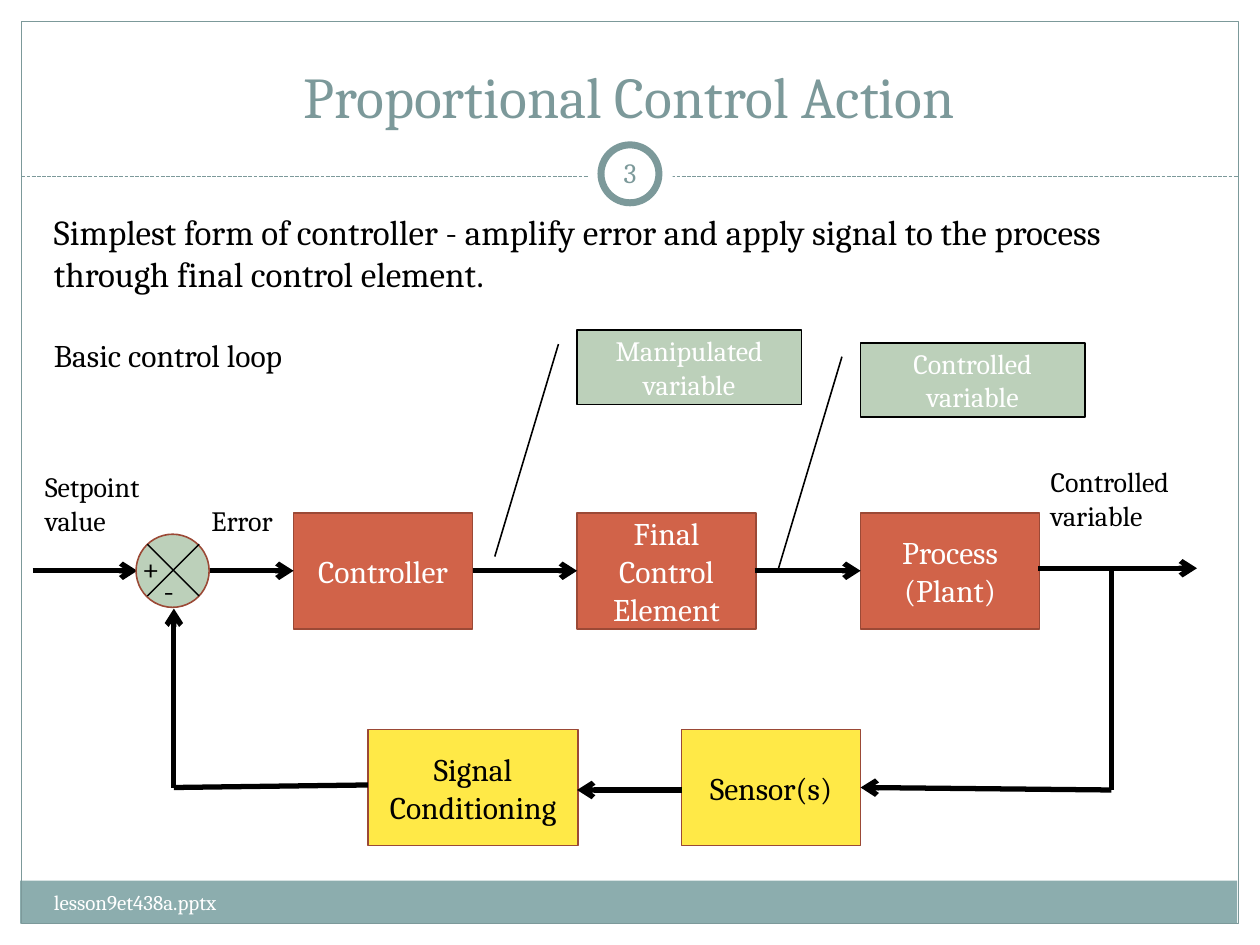
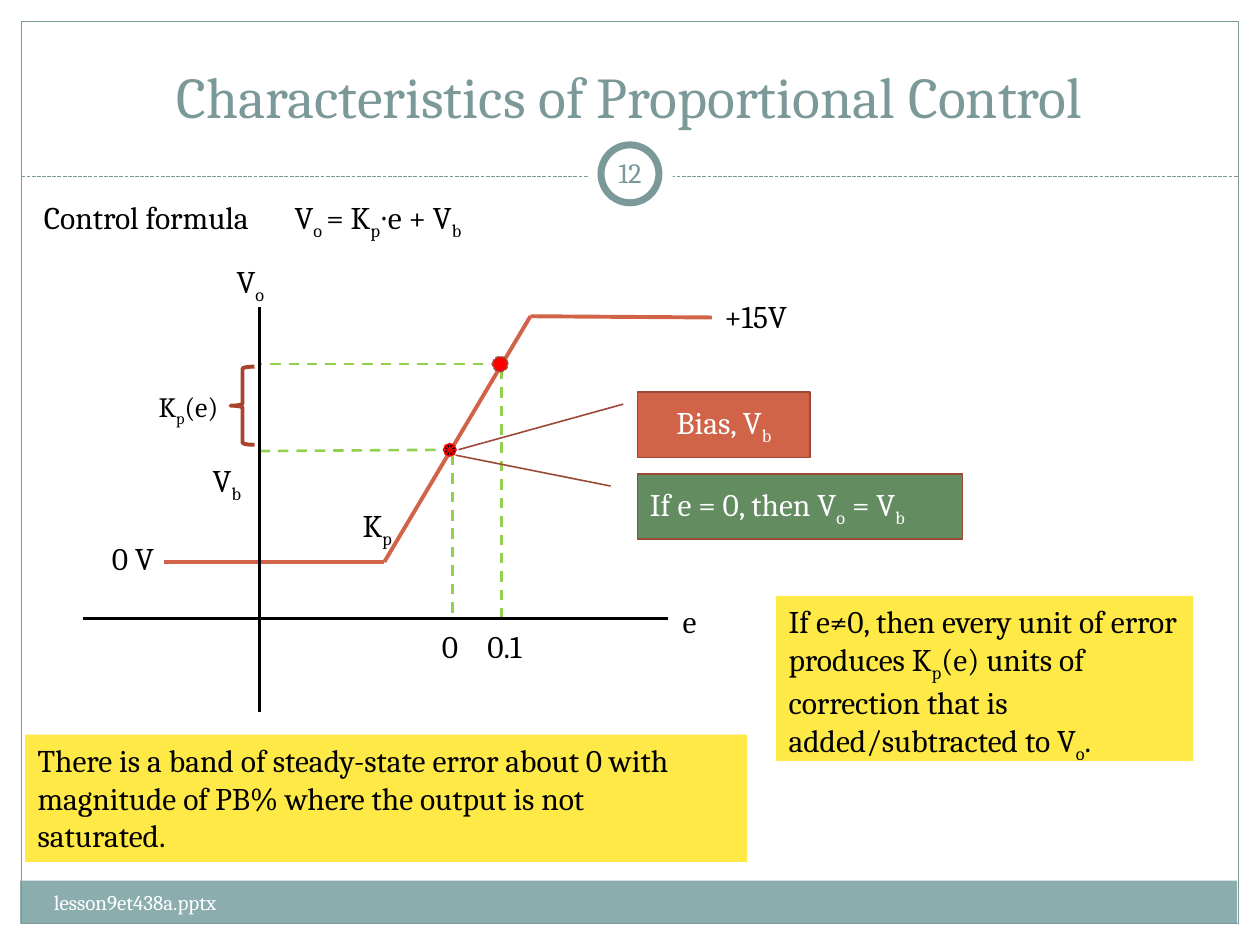
from dataclasses import dataclass
from itertools import pairwise
from math import cos, pi, sin
from typing import NamedTuple

from lxml import etree
from pptx import Presentation
from pptx import util as u
from pptx.dml.color import RGBColor
from pptx.enum import dml, shapes, text
from pptx.oxml import ns

Shape = shapes.MSO_SHAPE
Align = text.PP_ALIGN
Anchor = text.MSO_ANCHOR
Dash = dml.MSO_LINE


@dataclass(frozen=True)
class Theme:
    font: str = "Cambria"
    white: str = "FFFFFF"
    black: str = "000000"
    teal: str = "7C999A"
    band: str = "8CADAE"
    rust: str = "D16349"
    rust_edge: str = "9B4936"
    brace: str = "A9432B"
    yellow: str = "FFE947"
    sage: str = "BCD0BA"
    green: str = "648C61"
    guide: str = "92D050"
    red: str = "FF0000"
    title_size: float = 33
    lead_size: float = 20
    body_size: float = 18
    small_size: float = 16
    footer_size: float = 12
    edge: float = 0.9
    arrow: float = 3


THEME = Theme()


class Point(NamedTuple):
    x: float
    y: float


class Area(NamedTuple):
    left: float
    top: float
    width: float
    height: float

    def lengths(self) -> list[int]:
        return [u.Inches(value) for value in self]


@dataclass(frozen=True)
class Label:
    """Free text; a ~ switches subscript on and off."""
    area: Area
    words: str
    size: float = THEME.body_size
    color: str = THEME.black
    align: Align = Align.LEFT
    anchor: Anchor = Anchor.TOP
    wrap: bool = False
    inset: float = 0.1


@dataclass(frozen=True)
class Block:
    area: Area
    words: str = ""
    fill: str | None = None
    line: str | None = THEME.rust_edge
    width: float = THEME.edge
    color: str = THEME.white
    size: float = THEME.body_size
    align: Align = Align.CENTER
    anchor: Anchor = Anchor.MIDDLE
    kind: Shape = Shape.RECTANGLE
    adjust: tuple[float, ...] = ()
    dash: Dash | None = None


@dataclass(frozen=True)
class Stroke:
    """Joined straight lines, with an optional arrowhead at the end."""
    points: tuple[tuple[float, float], ...]
    color: str = THEME.black
    width: float = THEME.arrow
    arrow: bool = False
    dash: Dash | None = None


def rgb(color: str) -> RGBColor:
    return RGBColor.from_string(color)


def write(frame, words: str, size: float, color: str, align: Align) -> None:
    for number, line in enumerate(words.split("\n")):
        paragraph = frame.paragraphs[0] if number == 0 else frame.add_paragraph()
        paragraph.alignment = align
        for index, piece in enumerate(line.split("~")):
            if not piece:
                continue
            run = paragraph.add_run()
            run.text = piece
            run.font.name, run.font.size = THEME.font, u.Pt(size)
            run.font.color.rgb = rgb(color)
            if index % 2:
                run.font._element.set("baseline", "-25000")


def paint(shape, fill: str | None, line: str | None, width: float) -> None:
    shape.shadow.inherit = False
    if fill:
        shape.fill.solid()
        shape.fill.fore_color.rgb = rgb(fill)
    else:
        shape.fill.background()
    if line:
        shape.line.color.rgb = rgb(line)
        shape.line.width = u.Pt(width)
    else:
        shape.line.fill.background()


def draw_label(slide, label: Label) -> None:
    frame = slide.shapes.add_textbox(*label.area.lengths()).text_frame
    frame.word_wrap = label.wrap
    frame.vertical_anchor = label.anchor
    frame.margin_left = frame.margin_right = u.Inches(label.inset)
    if not label.wrap:
        frame.auto_size = text.MSO_AUTO_SIZE.SHAPE_TO_FIT_TEXT
    write(frame, label.words, label.size, label.color, label.align)


def draw_block(slide, block: Block) -> None:
    shape = slide.shapes.add_shape(block.kind, *block.area.lengths())
    paint(shape, block.fill, block.line, block.width)
    if block.dash:
        shape.line.dash_style = block.dash
    for index, value in enumerate(block.adjust):
        shape.adjustments[index] = value
    if block.words:
        shape.text_frame.word_wrap = True
        shape.text_frame.vertical_anchor = block.anchor
        write(shape.text_frame, block.words, block.size, block.color, block.align)


def draw_stroke(slide, stroke: Stroke) -> None:
    for start, end in pairwise(stroke.points):
        line = slide.shapes.add_connector(
            shapes.MSO_CONNECTOR.STRAIGHT, *(u.Inches(v) for v in (*start, *end)))
        line.line.color.rgb = rgb(stroke.color)
        line.line.width = u.Pt(stroke.width)
        if stroke.dash:
            line.line.dash_style = stroke.dash
        properties = line._element.spPr
        if stroke.arrow and end == stroke.points[-1]:
            etree.SubElement(line.get_or_add_ln(), ns.qn("a:tailEnd"), type="arrow")
        etree.SubElement(properties, ns.qn("a:effectLst"))


DRAW = {Label: draw_label, Block: draw_block, Stroke: draw_stroke}


def draw(slide, *parts: Label | Block | Stroke) -> None:
    for part in parts:
        DRAW[type(part)](slide, part)


def add_slide(deck, title: str, number: str):
    """Title, frame, footer band and page number shared by all slides."""
    slide = deck.slides.add_slide(deck.slide_layouts[5])
    heading = slide.shapes.title
    heading.left, heading.top, heading.width, heading.height = Area(0.33, 0.25, 9.33, 0.83).lengths()
    heading.text_frame.vertical_anchor = Anchor.BOTTOM
    heading.text_frame.auto_size = text.MSO_AUTO_SIZE.NONE
    write(heading.text_frame, title, THEME.title_size, THEME.teal, Align.CENTER)
    draw(
        slide,
        Block(Area(0.16, 6.99, 9.66, 0.34), fill=THEME.band, line=None),
        Block(Area(0.17, 0.17, 9.66, 7.16), line=THEME.teal, width=0.75),
        Stroke(((0.17, 1.4), (9.83, 1.4)), THEME.teal, 0.75, dash=Dash.SQUARE_DOT),
        Block(Area(4.67, 1.05, 0.67, 0.67), fill=THEME.white, line=None, kind=Shape.OVAL),
        Block(Area(4.77, 1.15, 0.46, 0.46), fill=THEME.white, line=THEME.teal, width=4, kind=Shape.OVAL),
        Label(Area(0.33, 7.01, 3.92, 0.4), "lesson9et438a.pptx", THEME.footer_size, THEME.white, wrap=True),
        Label(Area(4.75, 1.13, 0.5, 0.48), number, THEME.small_size, THEME.teal,
              Align.CENTER, Anchor.MIDDLE, wrap=True, inset=0.05),
    )
    return slide


def build_control_loop(deck) -> None:
    slide = add_slide(deck, "Proportional Control Action", "3")
    draw(
        slide,
        Label(Area(0.33, 1.62, 9.08, 0.77),
              "Simplest form of controller - amplify error and apply signal to the process "
              "through final control element.", THEME.lead_size, wrap=True),
        Label(Area(0.33, 2.62, 2.2, 0.4), "Basic control loop"),
    )

    # Forward row and feedback row
    for step, stage in enumerate(("Controller", "Final Control\nElement", "Process\n(Plant)")):
        draw(slide, Block(Area(2.33 + 2.25 * step, 4.07, 1.42, 0.92), stage, THEME.rust))
    for left, width, stage in ((2.92, 1.67, "Signal\nConditioning"), (5.41, 1.42, "Sensor(s)")):
        draw(slide, Block(Area(left, 5.79, width, 0.92), stage, THEME.yellow, color=THEME.black))

    # Signal flow
    flows = (
        ((0.26, 4.53), (1.09, 4.53)),
        ((1.67, 4.53), (2.33, 4.53)),
        ((3.75, 4.53), (4.58, 4.53)),
        ((5.99, 4.53), (6.83, 4.53)),
        ((8.24, 4.51), (9.5, 4.51)),
        ((8.82, 4.53), (8.82, 6.27), (6.83, 6.25)),
        ((5.41, 6.27), (4.58, 6.27)),
        ((2.92, 6.23), (1.38, 6.25), (1.38, 4.83)),
    )
    draw(slide, *(Stroke(flow, arrow=True) for flow in flows))

    # Signal names
    for area, name in (
        (Area(0.26, 3.68, 1.04, 0.64), "Setpoint\nvalue"),
        (Area(1.58, 3.95, 0.74, 0.37), "Error"),
        (Area(8.24, 3.64, 1.26, 0.64), "Controlled\nvariable"),
    ):
        draw(slide, Label(area, name, THEME.small_size))
    for left, top, name in ((4.58, 2.62, "Manipulated"), (6.83, 2.72, "Controlled")):
        draw(slide, Block(Area(left, top, 1.78, 0.59), f"{name}\nvariable", THEME.sage, THEME.black,
                          size=THEME.small_size, kind=Shape.LINE_CALLOUT_1,
                          adjust=(0.188, -0.083, 3.045, -0.367)))

    # Summing junction
    draw(
        slide,
        Block(Area(1.08, 4.24, 0.58, 0.58), fill=THEME.sage, kind=Shape.OVAL),
        Stroke(((1.17, 4.32), (1.58, 4.73)), width=0.75),
        Stroke(((1.58, 4.32), (1.17, 4.73)), width=0.75),
        Label(Area(1.03, 4.31, 0.36, 0.4), "+"),
        Label(Area(1.2, 4.48, 0.3, 0.4), "-"),
    )


def draw_bias_point(slide, center: Point, radius: float, wedges: int = 8) -> None:
    rim = [(u.Inches(center.x + radius * cos(2 * pi * k / wedges)),
            u.Inches(center.y + radius * sin(2 * pi * k / wedges))) for k in range(wedges + 1)]
    for start, end in pairwise(rim):
        builder = slide.shapes.build_freeform(u.Inches(center.x), u.Inches(center.y))
        builder.add_line_segments([start, end], close=True)
        paint(builder.convert_to_shape(), THEME.black, THEME.red, 0)


def build_characteristics(deck) -> None:
    slide = add_slide(deck, "Characteristics of Proportional Control", "12")
    bias, error = Point(3.57, 3.57), Point(3.98, 2.89)
    axis_x, axis_y = 2.06, 4.91

    # Guides, transfer curve and axes
    for corners in (((axis_x, 3.58), bias), ((3.59, 3.61), (3.59, axis_y)),
                    ((3.98, axis_y), error, (axis_x, error.y))):
        draw(slide, Stroke(corners, THEME.guide, 1.5, dash=Dash.DASH))
    draw(
        slide,
        Stroke(((1.3, 4.46), (3.05, 4.46), (4.21, 2.51), (5.65, 2.52)), THEME.rust, 2.25),
        Stroke(((0.66, axis_y), (5.3, axis_y)), width=1.75),
        Stroke(((axis_x, 2.44), (axis_x, 5.65)), width=1.75),
    )
    draw_bias_point(slide, bias, 0.05)

    # Formula and graph labels
    for left, top, width, words in (
        (0.25, 1.52, 2.1, "Control formula"),
        (2.24, 1.52, 1.74, "V~o ~= K~p~∙e + V~b"),
        (5.32, 4.73, 0.32, "e"),
        (1.78, 2.03, 0.46, "V~o"),
        (2.78, 3.97, 0.47, "K~p"),
        (5.65, 2.31, 0.78, "+15V"),
        (0.79, 4.23, 0.59, "0 V"),
        (3.41, 4.93, 0.36, "0"),
        (3.77, 4.93, 0.53, "0.1"),
        (1.59, 3.61, 0.46, "V~b"),
    ):
        draw(slide, Label(Area(left, top, width, 0.4), words))

    # Callouts, notes and the proportional part
    draw(
        slide,
        Block(Area(5.06, 3.11, 1.37, 0.52), "Bias, V~b", THEME.rust,
              kind=Shape.LINE_CALLOUT_1, adjust=(0.188, -0.083, 0.883, -1.037)),
        Block(Area(5.06, 3.76, 2.58, 0.52), "If e = 0, then V~o~ = V~b", THEME.green, align=Align.LEFT,
              kind=Shape.LINE_CALLOUT_1, adjust=(0.188, -0.083, -0.284, -0.56)),
        Block(Area(error.x - 0.07, error.y - 0.06, 0.12, 0.12), fill=THEME.red,
              kind=Shape.OVAL, dash=Dash.SQUARE_DOT),
        Block(Area(1.83, 2.91, 0.19, 0.62), line=THEME.brace, width=2.25, kind=Shape.LEFT_BRACE),
        Label(Area(1.16, 3.04, 0.81, 0.37), "K~p~(e)", THEME.small_size, wrap=True),
    )
    for area, note in (
        (Area(0.2, 5.83, 5.73, 1.01),
         "There is a band of steady-state error about 0 with magnitude of PB% "
         "where the output is not\nsaturated."),
        (Area(6.16, 4.73, 3.31, 1.31),
         "If e≠0, then every unit of error produces K~p~(e) units of correction "
         "that is added/subtracted to V~o~."),
    ):
        draw(slide, Block(area, note, THEME.yellow, None, color=THEME.black,
                          align=Align.LEFT, anchor=Anchor.TOP))


def main() -> None:
    deck = Presentation()
    deck.slide_width, deck.slide_height = u.Inches(10), u.Inches(7.5)
    build_control_loop(deck)
    build_characteristics(deck)
    deck.save("out.pptx")


if __name__ == "__main__":
    main()
